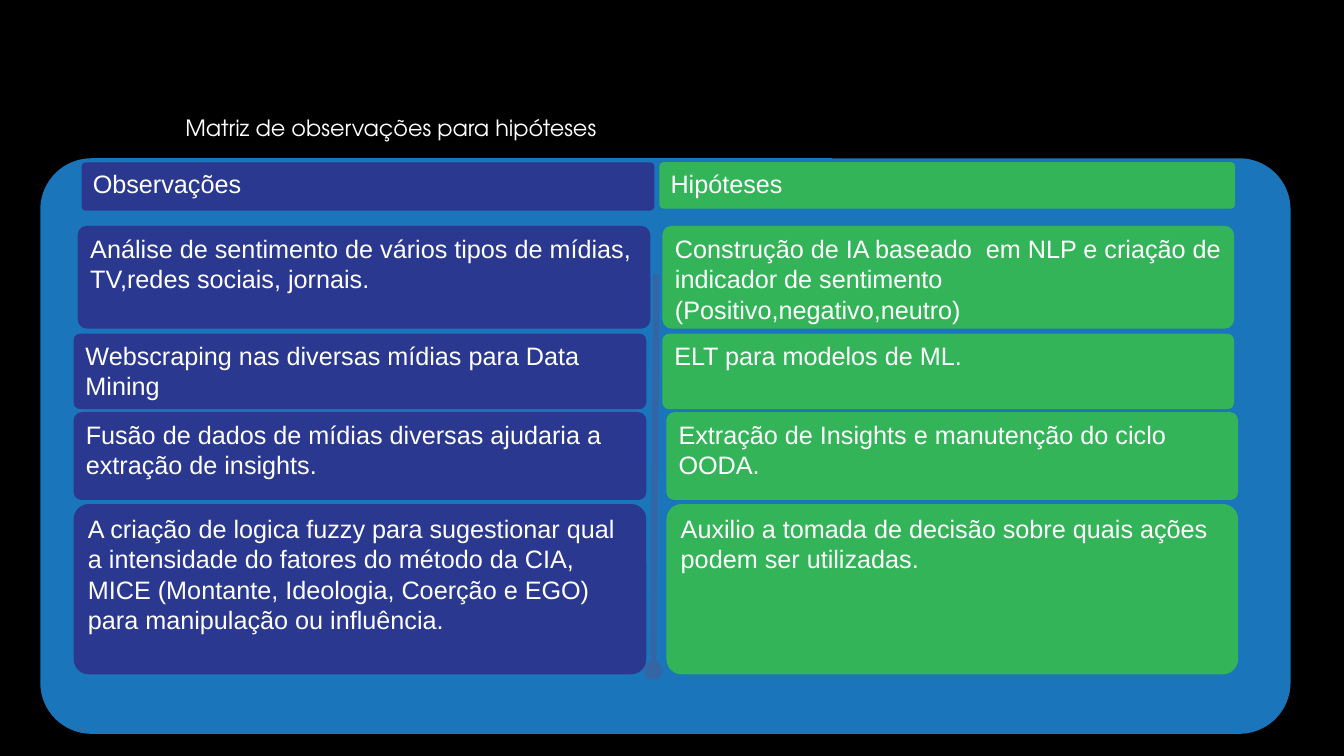
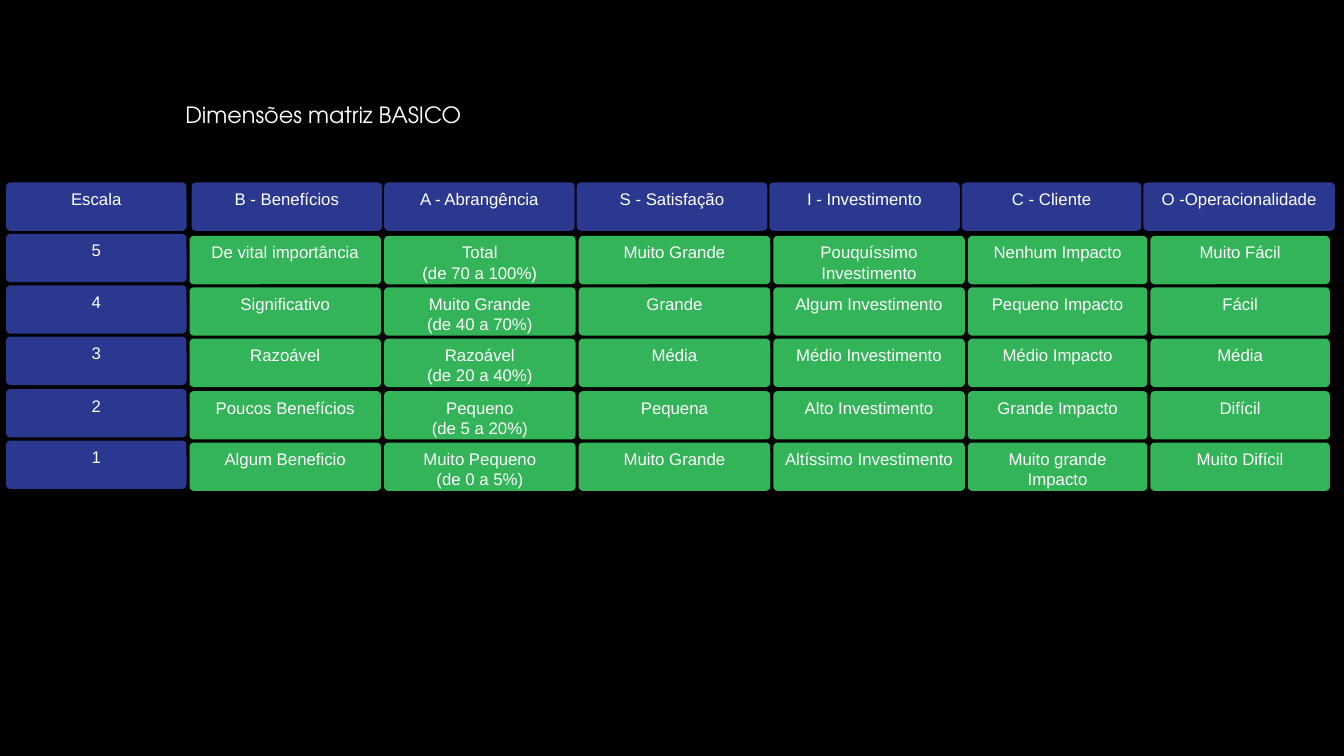
from dataclasses import dataclass
from itertools import accumulate

from lxml.etree import SubElement
from pptx import Presentation
from pptx.dml.color import RGBColor
from pptx.enum.shapes import MSO_CONNECTOR, MSO_SHAPE
from pptx.enum.text import MSO_ANCHOR, MSO_AUTO_SIZE, PP_ALIGN
from pptx.oxml.ns import qn
from pptx.shapes.autoshape import Shape
from pptx.slide import Slide
from pptx.util import Emu, Pt

EMU_PER_PX = 9144  # 100 px to the inch


@dataclass(frozen=True)
class Theme:
    background: RGBColor = RGBColor(0x00, 0x00, 0x00)
    panel: RGBColor = RGBColor(0x1B, 0x75, 0xBB)
    blue: RGBColor = RGBColor(0x2B, 0x38, 0x8F)
    green: RGBColor = RGBColor(0x33, 0xB4, 0x58)
    divider: RGBColor = RGBColor(0x34, 0x65, 0xA4)
    text: RGBColor = RGBColor(0xFF, 0xFF, 0xFF)
    title_font: str = "TeX Gyre Adventor"
    body_font: str = "Arial"
    title_size: int = 16
    matrix_size: int = 18
    scale_size: int = 12
    divider_width: float = 4.5
    corner: float = 0.089


@dataclass(frozen=True)
class Area:
    left: int
    top: int
    width: int
    height: int

    def emu(self) -> tuple[Emu, ...]:
        return tuple(px(n) for n in (self.left, self.top, self.width, self.height))


@dataclass(frozen=True)
class MatrixRow:
    top: int
    height: int
    observation_left: int
    hypothesis_left: int
    observation: str
    hypothesis: str


@dataclass(frozen=True)
class Dimension:
    name: str
    header_width: int
    cell_width: int
    levels: tuple[str, ...]


THEME = Theme()
OBSERVATION_WIDTH = 568
HYPOTHESIS_WIDTH = 567

MATRIX_ROWS = (
    MatrixRow(224, 102, 77, 657,
              "Análise de sentimento de vários tipos de mídias, TV,redes sociais, jornais.",
              "Construção de IA baseado  em NLP e criação de indicador de sentimento "
              "(Positivo,negativo,neutro)"),
    MatrixRow(331, 75, 73, 657,
              "Webscraping nas diversas mídias para Data Mining",
              "ELT para modelos de ML."),
    MatrixRow(409, 87, 73, 661,
              "Fusão de dados de mídias diversas ajudaria a extração de insights.",
              "Extração de Insights e manutenção do ciclo OODA."),
    MatrixRow(500, 169, 73, 661,
              "A criação de logica fuzzy para sugestionar qual a intensidade do fatores "
              "do método da CIA, MICE (Montante, Ideologia, Coerção e EGO) para "
              "manipulação ou influência.",
              "Auxilio a tomada de decisão sobre quais ações podem ser utilizadas."),
)

SCALE = ("5", "4", "3", "2", "1")
DIMENSIONS = (
    Dimension("B - Benefícios", 189, 190,
              ("De vital importância", "Significativo", "Razoável",
               "Poucos Benefícios", "Algum Beneficio")),
    Dimension("A - Abrangência", 189, 190,
              ("Total\n(de 70 a 100%)", "Muito Grande\n(de 40 a 70%)",
               "Razoável\n(de 20 a 40%)", "Pequeno\n(de 5 a 20%)",
               "Muito Pequeno\n(de 0 a 5%)")),
    Dimension("S - Satisfação", 189, 190,
              ("Muito Grande", "Grande", "Média", "Pequena", "Muito Grande")),
    Dimension("I - Investimento", 189, 190,
              ("Pouquíssimo Investimento", "Algum Investimento", "Médio Investimento",
               "Alto Investimento", "Altíssimo Investimento")),
    Dimension("C - Cliente", 178, 178,
              ("Nenhum Impacto", "Pequeno Impacto", "Médio Impacto",
               "Grande Impacto", "Muito grande Impacto")),
    Dimension("O -Operacionalidade", 190, 178,
              ("Muito Fácil", "Fácil", "Média", "Difícil", "Muito Difícil")),
)


def px(length: int) -> Emu:
    return Emu(length * EMU_PER_PX)


def write_text(box: Shape, text: str, font: str, size: int,
               align: PP_ALIGN = PP_ALIGN.LEFT, line_spacing: float = 1.0) -> None:
    """Fill a box with one paragraph per line of the text."""
    frame = box.text_frame
    frame.word_wrap = True
    frame.vertical_anchor = MSO_ANCHOR.TOP
    frame.text = text
    font_format = {"name": font, "size": Pt(size)}
    for para in frame.paragraphs:
        para.alignment = align
        para.line_spacing = line_spacing
        for span in para.runs:
            span.font.color.rgb = THEME.text
            for attribute, value in font_format.items():
                setattr(span.font, attribute, value)


def add_rounded_box(page: Slide, area: Area, color: RGBColor) -> Shape:
    box = page.shapes.add_shape(MSO_SHAPE.ROUNDED_RECTANGLE, *area.emu())
    box.adjustments[0] = THEME.corner
    box.shadow.inherit = False
    box.fill.solid()
    box.fill.fore_color.rgb = color
    box.line.fill.background()
    return box


def add_cell(page: Slide, area: Area, color: RGBColor, text: str, size: int,
             align: PP_ALIGN = PP_ALIGN.LEFT) -> None:
    box = add_rounded_box(page, area, color)
    write_text(box, text, THEME.body_font, size, align)


def add_title(page: Slide, text: str, height: int, line_spacing: float = 1.0) -> None:
    box = page.shapes.add_textbox(*Area(174, 95, 511, height).emu())
    write_text(box, text, THEME.title_font, THEME.title_size, line_spacing=line_spacing)
    box.text_frame.auto_size = MSO_AUTO_SIZE.SHAPE_TO_FIT_TEXT


def add_divider(page: Slide) -> None:
    """Draw the line between the two matrix columns, with a round end."""
    ends = (px(n) for n in (651, 272, 648, 665))
    divider = page.shapes.add_connector(MSO_CONNECTOR.STRAIGHT, *ends)
    divider.line.color.rgb = THEME.divider
    divider.line.width = Pt(THEME.divider_width)
    SubElement(divider.line._get_or_add_ln(), qn("a:tailEnd"), type="oval")
    SubElement(divider._element.spPr, qn("a:effectLst"))


def add_page(deck: Presentation) -> Slide:
    page = deck.slides.add_slide(deck.slide_layouts[6])
    page.background.fill.solid()
    page.background.fill.fore_color.rgb = THEME.background
    return page


def build_matrix_page(deck: Presentation) -> None:
    page = add_page(deck)
    size = THEME.matrix_size
    add_rounded_box(page, Area(40, 157, 1240, 571), THEME.panel)
    add_title(page, "Matriz de observações para hipóteses", 76, 1.5)
    add_cell(page, Area(81, 161, 568, 48), THEME.blue, "Observações", size)
    add_cell(page, Area(654, 161, 571, 46), THEME.green, "Hipóteses", size)
    add_divider(page)
    for row in MATRIX_ROWS:
        add_cell(page, Area(row.observation_left, row.top, OBSERVATION_WIDTH, row.height),
                 THEME.blue, row.observation, size)
        add_cell(page, Area(row.hypothesis_left, row.top, HYPOTHESIS_WIDTH, row.height),
                 THEME.green, row.hypothesis, size)


def column_lefts(start: int, widths: list[int], gap: int) -> list[int]:
    return list(accumulate((width + gap for width in widths[:-1]), initial=start))


def build_dimensions_page(deck: Presentation) -> None:
    page = add_page(deck)
    row_height, row_step = 48, 51.25
    header_top, scale_top, level_top = 181, 232, 234
    scale_left, scale_width = 6, 179

    def add_scale_cell(left: int, top: int, width: int, color: RGBColor, text: str) -> None:
        add_cell(page, Area(left, top, width, row_height), color, text,
                 THEME.scale_size, PP_ALIGN.CENTER)

    add_title(page, "Dimensões matriz BASICO", 36)
    row_offsets = [round(row_step * index) for index in range(len(SCALE))]
    add_scale_cell(scale_left, header_top, scale_width, THEME.blue, "Escala")
    for offset, grade in zip(row_offsets, SCALE):
        add_scale_cell(scale_left, scale_top + offset, scale_width, THEME.blue, grade)

    header_lefts = column_lefts(190, [d.header_width for d in DIMENSIONS], 2)
    cell_lefts = column_lefts(188, [d.cell_width for d in DIMENSIONS], 3)
    for dimension, header_left, cell_left in zip(DIMENSIONS, header_lefts, cell_lefts):
        add_scale_cell(header_left, header_top, dimension.header_width,
                       THEME.blue, dimension.name)
        for offset, level in zip(row_offsets, dimension.levels):
            add_scale_cell(cell_left, level_top + offset, dimension.cell_width,
                           THEME.green, level)


def main() -> None:
    deck = Presentation()
    deck.slide_width, deck.slide_height = px(1333), px(750)
    build_matrix_page(deck)
    build_dimensions_page(deck)
    deck.save("out.pptx")


if __name__ == "__main__":
    main()
